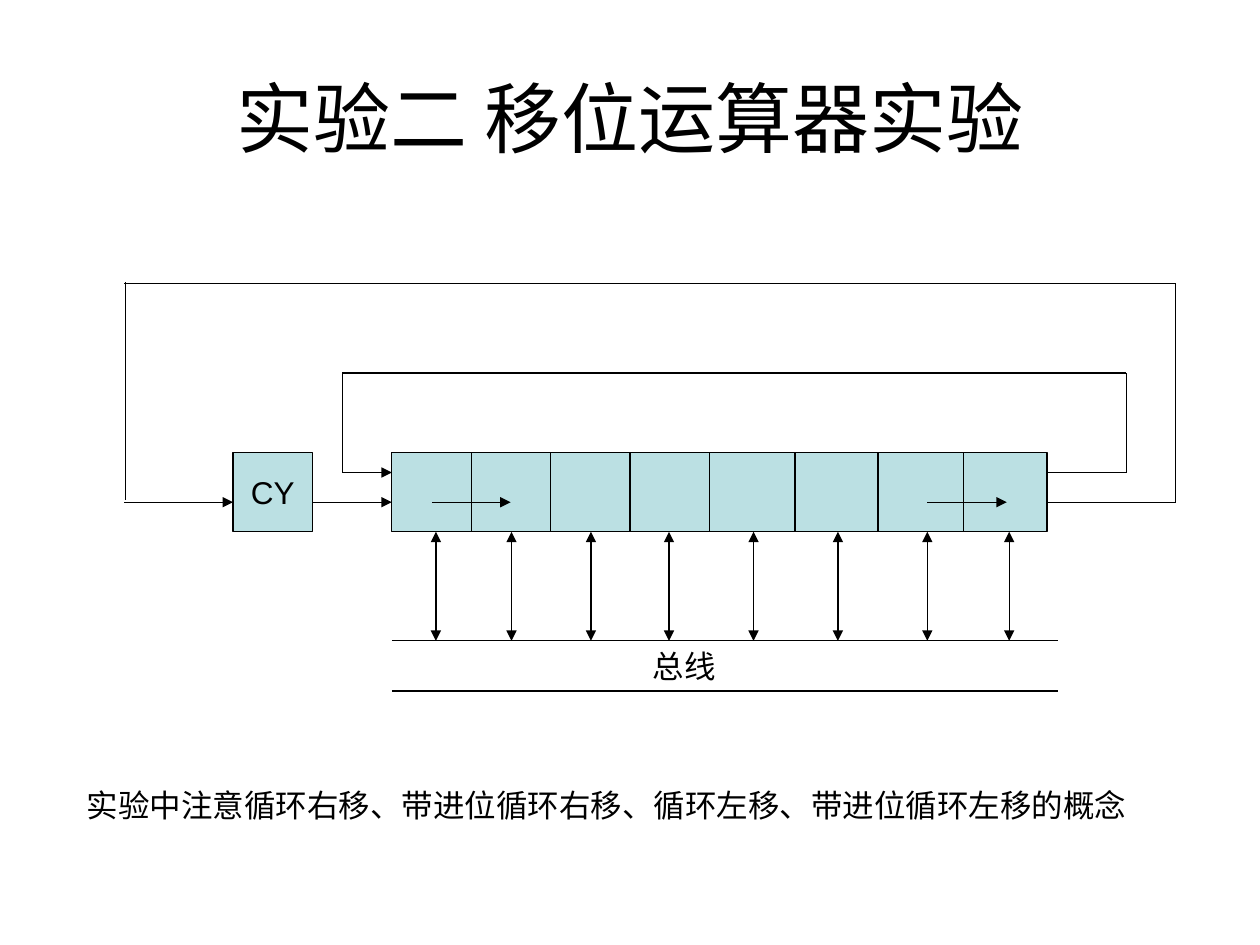
from lxml.etree import SubElement
from pptx import Presentation
from pptx.dml.color import RGBColor
from pptx.enum.shapes import MSO_CONNECTOR as Connector, MSO_SHAPE as Shape
from pptx.enum.text import MSO_ANCHOR as Anchor, PP_ALIGN as Align
from pptx.oxml.ns import qn
from pptx.util import Pt


def color(hex_value):
    return RGBColor.from_string(hex_value)


def write(shape, text, size=18, align=Align.LEFT, anchor=Anchor.TOP, wrap=True):
    frame = shape.text_frame
    frame.word_wrap = wrap
    frame.vertical_anchor = anchor
    paragraph = frame.paragraphs[0]
    paragraph.text = text
    paragraph.alignment = align
    paragraph.font.size = Pt(size)
    paragraph.font.name = "Arial"
    paragraph.font.color.rgb = color("000000")


presentation = Presentation()
presentation.slide_width, presentation.slide_height = Pt(720), Pt(540)
slide = presentation.slides.add_slide(presentation.slide_layouts[5])

title = slide.shapes.title
title.left, title.top, title.width, title.height = Pt(36), Pt(21.6), Pt(648), Pt(90)
write(title, "实验二 移位运算器实验", size=44, align=Align.CENTER, anchor=Anchor.MIDDLE)

cell_top, cell_size = 258.5, 45.4
cell_bottom = cell_top + cell_size
register_left, register_right = 223.9, 598.3
carry_left = 133.2
carry_right = carry_left + cell_size
bus_top, bus_bottom, bus_right = 366.2, 394.8, 604.3
shift_y, rotate_y = 287, 270

boxes = []
for left, right in [(register_left, register_right), (carry_left, carry_right)]:
    box = slide.shapes.add_shape(
        Shape.RECTANGLE, Pt(left), Pt(cell_top), Pt(right - left), Pt(cell_size))
    box.shadow.inherit = False
    box.fill.solid()
    box.fill.fore_color.rgb = color("BBE0E3")
    box.line.color.rgb = color("000000")
    box.line.width = Pt(0.75)
    boxes.append(box)
register, carry = boxes
write(carry, "CY", align=Align.CENTER, anchor=Anchor.MIDDLE, wrap=False)

dividers = [269.3, 314.6, 360, 405.4, 454.3, 501.8, 550.8]
bus_links = [249.1, 292.3, 337.7, 382.3, 430.6, 478.8, 529.9, 576.7]

plain, forward, both = [], ["tailEnd"], ["headEnd", "tailEnd"]
lines = [(x, cell_top, x, cell_bottom, plain) for x in dividers]
lines += [(register_left, y, bus_right, y, plain) for y in (bus_top, bus_bottom)]
lines += [(x, cell_bottom, x, bus_top, both) for x in bus_links]
lines += [
    (carry_right, shift_y, register_left, shift_y, forward),
    (register_right, shift_y, 671.8, shift_y, plain),
    (671.8, shift_y, 671.8, 162.2, plain),
    (671.8, 162.2, 70.9, 162.2, plain),
    (71.7, 285.6, 71.7, 161.2, plain),
    (70.9, shift_y, carry_left, shift_y, forward),
    (246.8, shift_y, 291.8, shift_y, forward),
    (530, shift_y, 575.3, shift_y, forward),
    (register_right, rotate_y, 643.7, rotate_y, plain),
    (643.7, rotate_y, 643.7, 213.2, plain),
    (643.7, 213.2, 195.6, 213.2, plain),
    (195.6, 213.2, 195.6, rotate_y, plain),
    (195.6, rotate_y, register_left, rotate_y, forward),
]
for x1, y1, x2, y2, arrowheads in lines:
    connector = slide.shapes.add_connector(
        Connector.STRAIGHT, Pt(x1), Pt(y1), Pt(x2), Pt(y2))
    connector.line.color.rgb = color("000000")
    connector.line.width = Pt(0.75)
    outline = connector.line._get_or_add_ln()
    for end in arrowheads:
        SubElement(outline, qn(f"a:{end}"), type="triangle")
    SubElement(connector._element.spPr, qn("a:effectLst"))

labels = [
    ("总线", 365.8, bus_top, 73.4),
    ("实验中注意循环右移、带进位循环右移、循环左移、带进位循环左移的概念", 42.5, 445.7, 617.8),
]
for text, left, top, width in labels:
    label = slide.shapes.add_textbox(Pt(left), Pt(top), Pt(width), Pt(28.8))
    write(label, text)

presentation.save("out.pptx")
